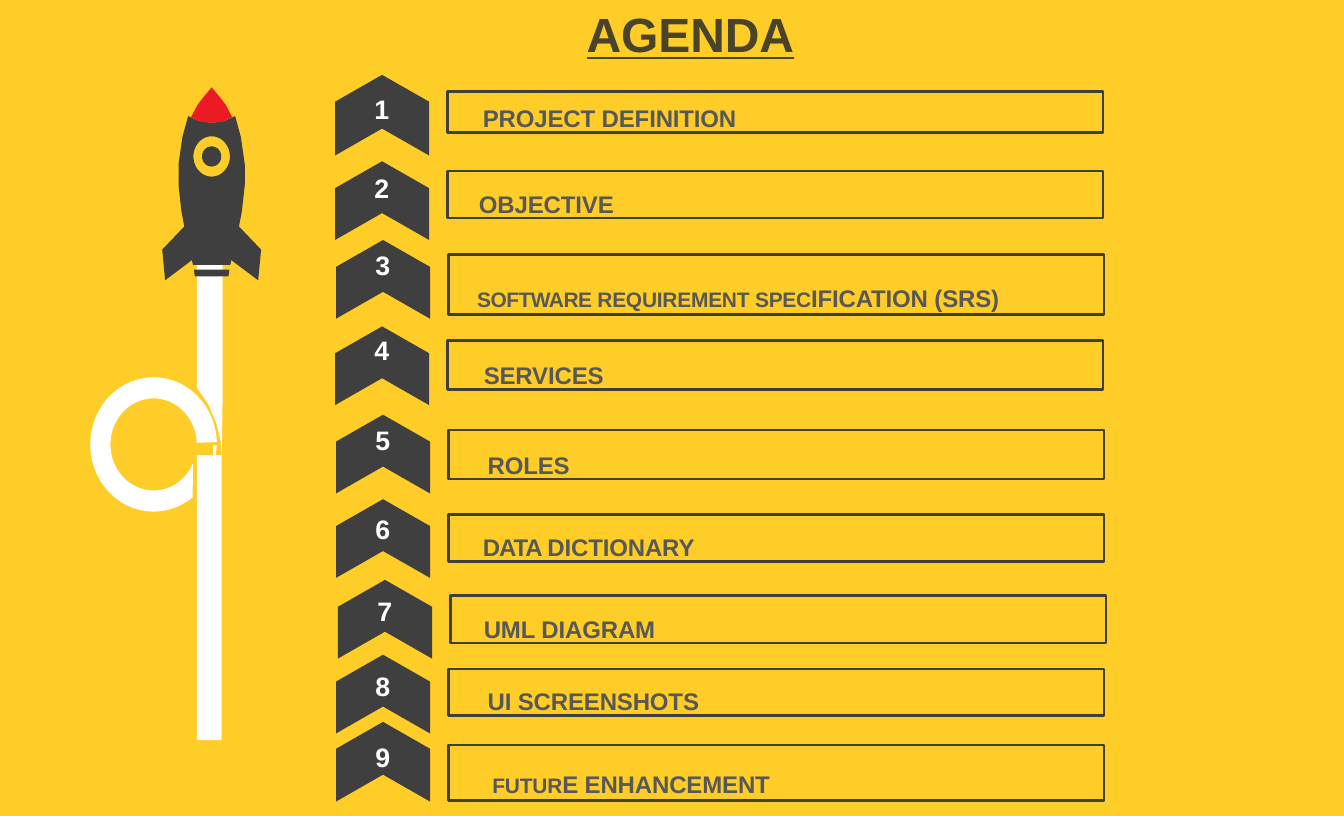
import math

from pptx import Presentation
from pptx.dml.color import RGBColor
from pptx.enum import shapes, text
from pptx.util import Inches, Pt

YELLOW = RGBColor(0xFF, 0xCD, 0x28)
CHARCOAL = RGBColor(0x3F, 0x3F, 0x3F)
GREY = RGBColor(0x58, 0x58, 0x58)
OLIVE = RGBColor(0x49, 0x44, 0x29)
RED = RGBColor(0xEC, 0x1B, 0x23)
WHITE = RGBColor(0xFF, 0xFF, 0xFF)

TITLE = {"size": Pt(36), "color": OLIVE, "underline": True}
NUMBER = {"size": Pt(20), "color": WHITE}
LABEL = {"size": Pt(18), "color": GREY}
RAISED = {"size": Pt(27), "color": GREY, "baseline": 1000}

CHEVRON_WIDTH = 0.98
CHEVRON_NOTCH = 0.28
BAR_WIDTH = 6.83

# Chevron left, top, height; number top; bar left, top, height; indent; spans of text, spacing, format
AGENDA = [
    (3.49, 0.78, 0.84, 0.96, 4.66, 0.95, 0.43, 0.37, [("PROJECT DEFINITION", -10, LABEL)]),
    (3.49, 1.68, 0.82, 1.78, 4.66, 1.78, 0.49, 0.33, [("OBJECTIVE", -10, LABEL)]),
    (3.50, 2.50, 0.82, 2.58, 4.67, 2.65, 0.63, 0.30, [
        ("SOFTWARE ", -30, RAISED), ("REQUIREMENT ", -10, RAISED),
        ("SPEC", -20, RAISED), ("IFICATION (SRS)", -10, LABEL)]),
    (3.49, 3.40, 0.82, 3.47, 4.66, 3.55, 0.51, 0.38, [("SERVICES", -10, LABEL)]),
    (3.50, 4.32, 0.82, 4.40, 4.67, 4.48, 0.51, 0.41, [("ROLES", -10, LABEL)]),
    (3.50, 5.20, 0.82, 5.33, 4.67, 5.36, 0.49, 0.36, [
        ("DATA ", -80, LABEL), ("DICTIONARY", -10, LABEL)]),
    (3.52, 6.04, 0.82, 6.19, 4.69, 6.20, 0.50, 0.35, [("UML DIAGRAM", -10, LABEL)]),
    (3.50, 6.82, 0.82, 6.97, 4.67, 6.97, 0.48, 0.41, [("UI SCREENSHOTS", -10, LABEL)]),
    (3.50, 7.52, 0.83, 7.71, 4.67, 7.76, 0.58, 0.46, [
        ("FUTUR", -10, RAISED), ("E ENHANCEMENT", -10, LABEL)]),
]


def paint(shape, fill, line=None):
    """Give a shape a flat fill and an optional outline."""
    shape.shadow.inherit = False
    shape.fill.solid()
    shape.fill.fore_color.rgb = fill
    if line is None:
        shape.line.fill.background()
    else:
        shape.line.color.rgb = line
        shape.line.width = Pt(2)


def write(shape, spans, indent=0.01, top=0.01):
    """Write one left-aligned line of bold spans into a shape."""
    frame = shape.text_frame
    settings = {
        "word_wrap": True,
        "vertical_anchor": text.MSO_ANCHOR.TOP,
        "margin_left": Inches(indent),
        "margin_top": Inches(top),
        "margin_right": 0,
        "margin_bottom": 0,
    }
    for name, value in settings.items():
        setattr(frame, name, value)
    para = frame.paragraphs[0]
    para.alignment = text.PP_ALIGN.LEFT
    for words, spacing, style in spans:
        span = para.add_run()
        span.text = words
        font = {"name": "Arial", "bold": True, **style}
        span.font.color.rgb = font.pop("color")
        properties = span._r.get_or_add_rPr()
        properties.set("spc", str(spacing))
        if "baseline" in font:
            properties.set("baseline", str(font.pop("baseline")))
        for name, value in font.items():
            setattr(span.font, name, value)


def add_outline(parent, left, top, contours, fill):
    """Draw closed contours, in inches from left and top, as one shape."""
    placed = [[(Inches(left + x), Inches(top + y)) for x, y in contour]
              for contour in contours]
    builder = parent.build_freeform(*placed[0][0], scale=1.0)
    for index, contour in enumerate(placed):
        if index:
            builder.move_to(*contour[0])
        builder.add_line_segments(contour[1:], close=True)
    shape = builder.convert_to_shape()
    paint(shape, fill)
    return shape


def arc(x, y, width, height, start=0, end=360, steps=48):
    """List points on an ellipse arc with the given radii and degrees."""
    angles = [math.radians(start + (end - start) * i / steps) for i in range(steps + 1)]
    return [(x + width * math.cos(a), y + height * math.sin(a)) for a in angles]


def mirror(half, axis):
    """Complete a symmetric contour from its left half."""
    return half + [(2 * axis - x, y) for x, y in reversed(half)]


def add_rocket(page, left, top):
    """Draw the rocket with its looping white trail."""
    group = page.shapes.add_group_shape().shapes
    axis = 1.265
    loop = arc(0.66, 3.72, 0.66, 0.70, -2, -308) + arc(0.66, 3.72, 0.45, 0.48, -336, -2)
    stream = [(1.11, 1.82), (1.11, 3.13), (1.23, 3.30), (1.31, 3.49),
              (1.36, 3.69), (1.37, 3.84), (1.38, 3.13), (1.38, 1.82)]
    wedge = [(1.32, 3.73), (1.28, 3.73), (1.28, 3.98)]
    hull = mirror([(axis, 0.37), (1.13, 0.35), (1.02, 0.30), (0.96, 0.52),
                   (0.92, 0.80), (0.92, 1.02), (0.95, 1.29), (0.98, 1.45),
                   (0.75, 1.69), (0.78, 2.01), (1.06, 1.80), (1.07, 1.85)], axis)
    band = mirror([(1.08, 1.90), (1.09, 1.97)], axis)
    window = arc(axis, 0.72, 0.19, 0.21)
    pane = arc(axis, 0.72, 0.10, 0.105)
    nose = mirror([(axis, 0), (1.19, 0.09), (1.12, 0.18), (1.05, 0.31),
                   (1.15, 0.36), (axis, 0.37)], axis)
    add_outline(group, left, top, [loop, stream, wedge], WHITE)
    add_outline(group, left, top, [hull, window, pane, band], CHARCOAL)
    column = group.add_shape(shapes.MSO_SHAPE.RECTANGLE, Inches(left + 1.11),
                             Inches(top + 3.83), Inches(0.26), Inches(2.97))
    paint(column, WHITE)
    add_outline(group, left, top, [nose], RED)


def add_title(page, left, top, width, height):
    """Place the underlined heading."""
    box = page.shapes.add_textbox(*map(Inches, (left, top, width, height)))
    write(box, [("AGENDA", -5, TITLE)])


def add_chevron(page, left, top, height, number, number_top):
    """Draw an upward chevron and its number."""
    middle, low = CHEVRON_WIDTH / 2, height - CHEVRON_NOTCH
    contour = [(middle, 0), (0, CHEVRON_NOTCH), (0, height), (middle, low),
               (CHEVRON_WIDTH, height), (CHEVRON_WIDTH, CHEVRON_NOTCH)]
    add_outline(page.shapes, left, top, [contour], CHARCOAL)
    box = page.shapes.add_textbox(Inches(left + 0.4), Inches(number_top),
                                  Inches(0.18), Inches(0.35))
    write(box, [(str(number), 0, NUMBER)])


def add_bar(page, left, top, height, indent, spans):
    """Draw an outlined bar with its label resting on the bottom edge."""
    bar = page.shapes.add_shape(shapes.MSO_SHAPE.RECTANGLE,
                                *map(Inches, (left, top, BAR_WIDTH, height)))
    paint(bar, YELLOW, CHARCOAL)
    line_height = 0.45 if spans[0][2] is RAISED else 0.30
    write(bar, spans, indent, height - line_height)


def main():
    """Build the agenda slide and save it."""
    deck = Presentation()
    deck.slide_width, deck.slide_height = Inches(14), Inches(8.5)
    page = deck.slides.add_slide(deck.slide_layouts[6])
    page.background.fill.solid()
    page.background.fill.fore_color.rgb = YELLOW
    add_rocket(page, 0.94, 0.91)
    add_title(page, 6.1, 0.04, 2.19, 1.43)
    for number, row in enumerate(AGENDA, 1):
        left, top, height, number_top, *bar = row
        add_chevron(page, left, top, height, number, number_top)
        add_bar(page, *bar)
    deck.save("out.pptx")


if __name__ == "__main__":
    main()
